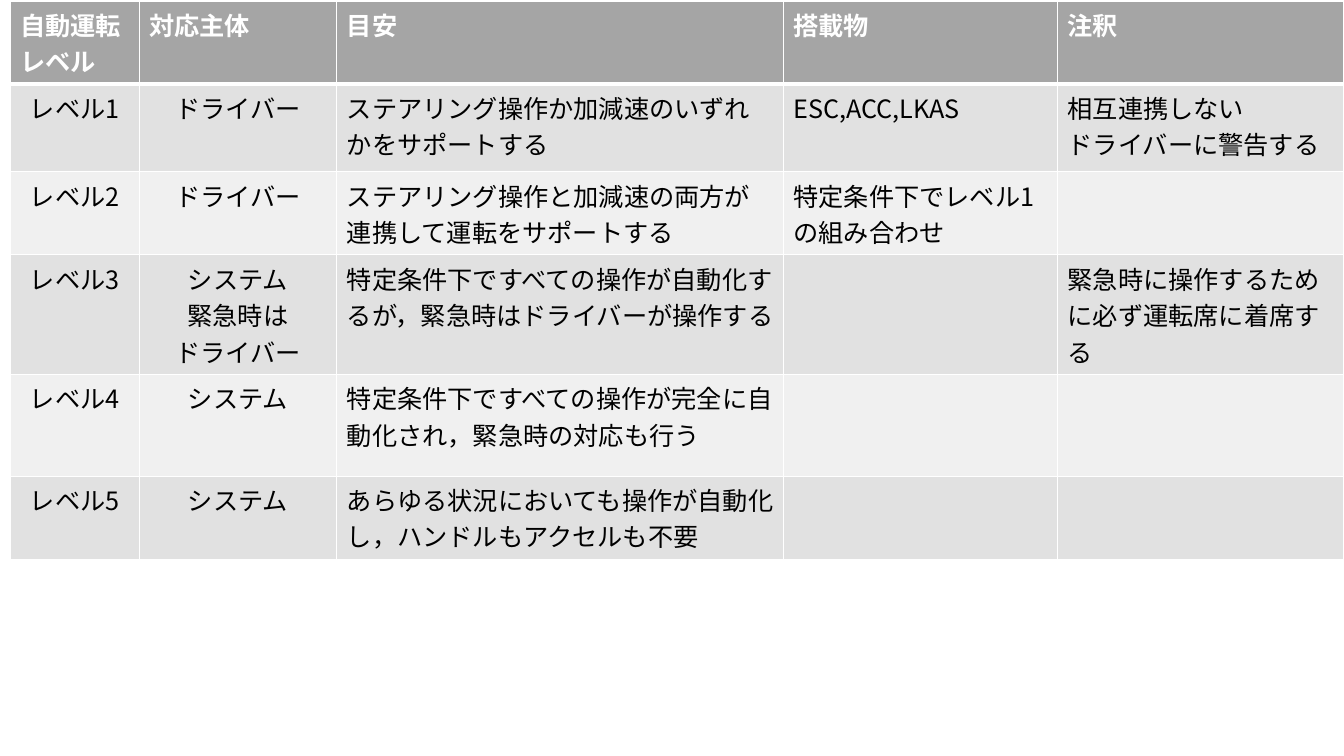
from lxml.etree import SubElement
from pptx import Presentation
from pptx.dml.color import RGBColor
from pptx.enum.lang import MSO_LANGUAGE_ID as LANG
from pptx.enum.text import PP_ALIGN as ALIGN
from pptx.oxml import parse_xml
from pptx.oxml.ns import nsdecls, qn
from pptx.util import Inches, Pt

FONT = "Noto Sans CJK JP"
WHITE = RGBColor(0xFF, 0xFF, 0xFF)
BLACK = RGBColor(0x00, 0x00, 0x00)
HEADER = RGBColor(0xA5, 0xA5, 0xA5)
BANDS = (RGBColor(0xF0, 0xF0, 0xF0), RGBColor(0xE1, 0xE1, 0xE1))

COL_WIDTHS = (1.28, 1.96, 4.43, 2.72, 2.84)
ROW_HEIGHTS = (0.8, 0.87, 0.81, 1.14, 1.01, 0.83)
CENTERED_COLS = 2
LEVELS = (
    ("自動運転レベル", "対応主体", "目安", "搭載物", "注釈"),
    ("レベル1", "ドライバー", "ステアリング操作か加減速のいずれかをサポートする",
     "ESC,ACC,LKAS", "相互連携しない\nドライバーに警告する"),
    ("レベル2", "ドライバー",
     "ステアリング操作と加減速の両方が\n連携して運転をサポートする",
     "特定条件下でレベル1の組み合わせ", ""),
    ("レベル3", "システム\n緊急時は\nドライバー",
     "特定条件下ですべての操作が自動化するが，緊急時はドライバーが操作する",
     "", "緊急時に操作するために必ず運転席に着席する"),
    ("レベル4", "システム",
     "特定条件下ですべての操作が完全に自動化され，緊急時の対応も行う", "", ""),
    ("レベル5", "システム",
     "あらゆる状況においても操作が自動化し，ハンドルもアクセルも不要", "", ""),
)


def set_borders(cell, top, bottom):
    """Draw white cell borders, with top and bottom widths in points."""
    tcPr = cell._tc.get_or_add_tcPr()
    sides = (("lnL", 1), ("lnR", 1), ("lnT", top), ("lnB", bottom))
    for i, (side, width) in enumerate(sides):
        tcPr.insert(i, parse_xml(
            f'<a:{side} {nsdecls("a")} w="{Pt(width)}"><a:solidFill>'
            f'<a:srgbClr val="{WHITE}"/></a:solidFill></a:{side}>'))


def write_cell(cell, text, color, bold, align):
    """Write one paragraph per line of text."""
    tf = cell.text_frame
    for i, line in enumerate(text.split("\n")):
        p = tf.add_paragraph() if i else tf.paragraphs[0]
        p.alignment = align
        if not line:
            continue
        r = p.add_run()
        r.text = line
        r.font.size = Pt(18)
        r.font.bold = bold
        r.font.color.rgb = color
        r.font.name = FONT
        r.font.language_id = LANG.JAPANESE
        SubElement(r._r.get_or_add_rPr(), qn("a:ea"), typeface=FONT)


def add_level_table(slide, left, top, width, height):
    """Place the table of driving automation levels in the given box."""
    table = slide.shapes.add_table(
        len(LEVELS), len(COL_WIDTHS), left, top, width, height).table
    for col, w in zip(table.columns, COL_WIDTHS):
        col.width = Inches(w)
    for row, h in zip(table.rows, ROW_HEIGHTS):
        row.height = Inches(h)
    for i, level in enumerate(LEVELS):
        head = i == 0
        for j, text in enumerate(level):
            cell = table.cell(i, j)
            cell.fill.solid()
            cell.fill.fore_color.rgb = HEADER if head else BANDS[i % 2]
            set_borders(cell, 3 if i == 1 else 1, 3 if head else 1)
            centered = not head and j < CENTERED_COLS
            write_cell(cell, text, WHITE if head else BLACK, head,
                       ALIGN.CENTER if centered else ALIGN.LEFT)


def main():
    """Build and save the slide."""
    prs = Presentation()
    prs.slide_width, prs.slide_height = Inches(13.33), Inches(7.5)
    s = prs.slides.add_slide(prs.slide_layouts[6])
    add_level_table(s, Inches(0.1), Inches(0.01),
                    Inches(sum(COL_WIDTHS)), Inches(sum(ROW_HEIGHTS)))
    prs.save("out.pptx")


if __name__ == "__main__":
    main()
